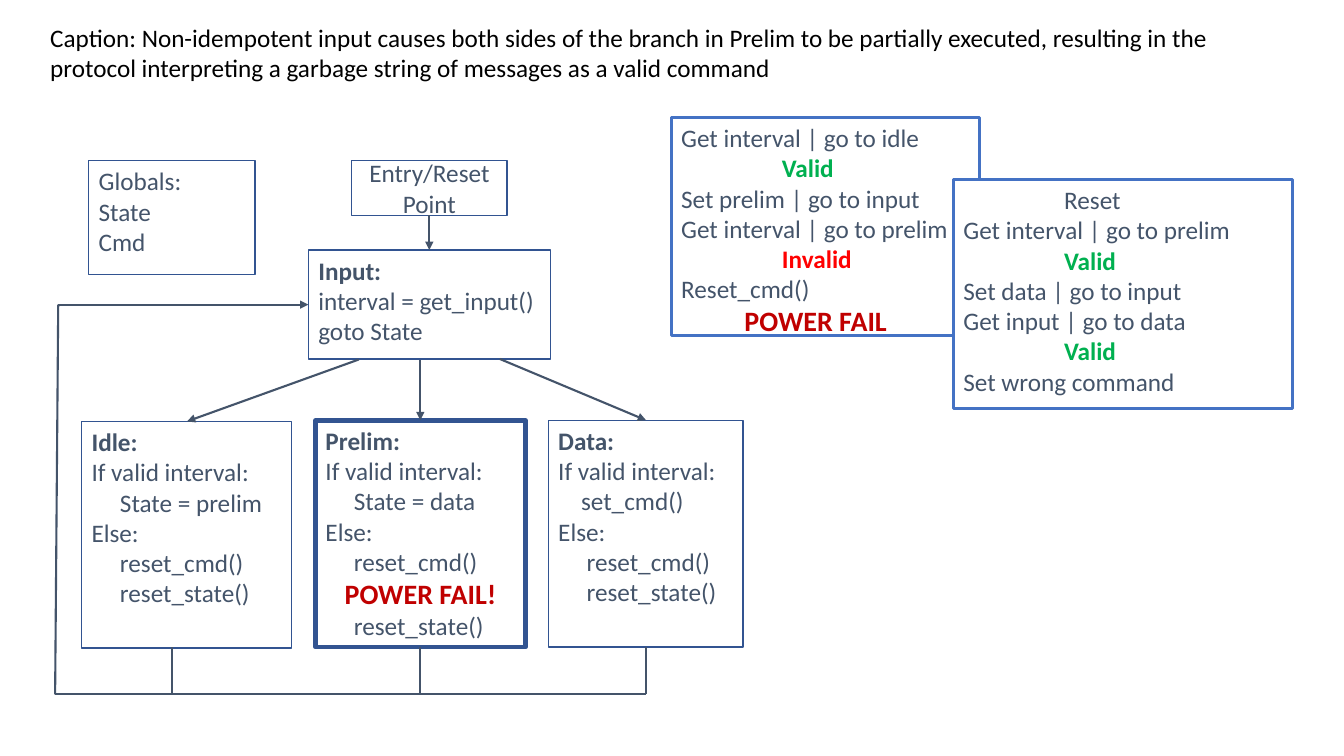
from pptx import Presentation
from pptx.dml.color import RGBColor as RGB
from pptx.enum.shapes import MSO_CONNECTOR as CONN, MSO_SHAPE as SHAPE
from pptx.enum.text import MSO_ANCHOR as ANCHOR, PP_ALIGN as ALIGN
from pptx.oxml.ns import qn
from pptx.util import Pt
from lxml.etree import SubElement

COLORS = {
    "text": "44546A", "black": "000000", "white": "FFFFFF",
    "node": "325491", "log": "4472C4",
    "valid": "00B050", "invalid": "FF0000", "fail": "C00000",
}
FONT = "Calibri"
INDENT = 20.3  # code nested under a condition
TAB = 72       # outcome of a logged step


def color(name):
    """Return the named colour."""
    return RGB.from_string(COLORS[name])


def line(text, ink="text", bold=False, size=18, indent=0, align=ALIGN.LEFT):
    """Describe one line of text."""
    return text, ink, bold, size, indent, align


def nested(text, indent=INDENT):
    """Describe an indented line of code."""
    return line(text, indent=indent)


def outcome(text, ink):
    """Describe a bold, coloured result in a log."""
    return line(text, ink, bold=True, indent=TAB)


def write(tf, lines):
    """Fill a text frame with lines, one paragraph each."""
    tf.word_wrap = True
    for i, (text, ink, bold, size, indent, align) in enumerate(lines):
        p = tf.paragraphs[0] if i == 0 else tf.add_paragraph()
        p.alignment = align
        if indent:
            p._p.get_or_add_pPr().set("marL", str(Pt(indent)))
        r = p.add_run()
        r.text = text
        r.font.name, r.font.size, r.font.bold = FONT, Pt(size), bold
        r.font.color.rgb = color(ink)


def add_box(s, at, lines, edge="node", width=1, fill=None, anchor=ANCHOR.TOP):
    """Draw an outlined rectangle holding lines of text."""
    sp = s.shapes.add_shape(SHAPE.RECTANGLE, *map(Pt, at))
    sp.shadow.inherit = False
    if fill:
        sp.fill.solid()
        sp.fill.fore_color.rgb = color(fill)
    else:
        sp.fill.background()
    sp.line.color.rgb = color(edge)
    sp.line.width = Pt(width)
    sp.text_frame.vertical_anchor = anchor
    write(sp.text_frame, lines)


def add_caption(s, at, text):
    """Write the caption in a text box."""
    tf = s.shapes.add_textbox(*map(Pt, at)).text_frame
    write(tf, [line(text, "black")])


def add_line(s, start, end, arrow=False):
    """Connect two points, optionally with an arrowhead at the end."""
    c = s.shapes.add_connector(CONN.STRAIGHT, *map(Pt, start + end))
    c.line.color.rgb = color("text")
    c.line.width = Pt(1.5)
    if arrow:
        SubElement(c.line._get_or_add_ln(), qn("a:tailEnd"), type="triangle")
    SubElement(c._element.spPr, qn("a:effectLst"))


def add_nodes(s):
    """Draw the entry point, the globals and the states."""
    add_box(s, (251.3, 114.5, 110.9, 39.4),
            [line("Entry/Reset Point", align=ALIGN.CENTER)],
            anchor=ANCHOR.MIDDLE)
    add_box(s, (63.4, 114.8, 118.8, 81.4),
            [line(t) for t in ("Globals:", "State", "Cmd")])
    add_box(s, (220.3, 178.6, 172.8, 77.8),
            [line("Input:", bold=True), line("interval = get_input()"),
             line("goto State")])

    fail = line("POWER FAIL!", "fail", True, 20, align=ALIGN.CENTER)
    reset_cmd, reset_state = nested("reset_cmd()"), nested("reset_state()")
    states = [
        ("Idle:", (58.3, 301, 149.8, 162), 1, nested("State = prelim"),
         [reset_cmd, reset_state]),
        ("Prelim:", (225.4, 300.2, 149.8, 162), 3.25, nested("State = data"),
         [reset_cmd, fail, reset_state]),
        ("Data:", (391.7, 300.2, 139, 162), 1, nested("set_cmd()", 16.3),
         [reset_cmd, reset_state]),
    ]
    for name, at, width, action, otherwise in states:
        add_box(s, at, [line(name, bold=True), line("If valid interval:"),
                        action, line("Else:")] + otherwise, width=width)


def add_flow(s):
    """Draw the arrows between nodes and the loop back to Input."""
    idle_x, prelim_x, data_x = 122.6, 300.2, 461.5
    state_bottom, loop_y, input_y = 462.4, 496, 217.6
    add_line(s, (306.7, 153.6), (306.7, 178.6), arrow=True)
    add_line(s, (256.3, 256.8), (133.6, 301), arrow=True)
    add_line(s, (prelim_x, 256.8), (prelim_x, 300.2), arrow=True)
    add_line(s, (357, 256.4), (data_x, 300.2), arrow=True)
    for x in (idle_x, prelim_x, data_x):
        add_line(s, (x, state_bottom), (x, loop_y))
    add_line(s, (data_x, loop_y), (39.2, loop_y))
    add_line(s, (41.6, input_y), (39.4, loop_y))
    add_line(s, (41.6, input_y), (220.3, input_y), arrow=True)


def add_logs(s):
    """Draw the execution logs before and after the power failure."""
    valid = outcome("Valid", "valid")
    before = [line("Get interval | go to idle"), valid,
              line("Set prelim | go to input"),
              line("Get interval | go to prelim"),
              outcome("Invalid", "invalid"), line("Reset_cmd()"),
              line("POWER FAIL", "fail", True, 20, indent=45.2)]
    after = [nested("Reset", TAB), line("Get interval | go to prelim"), valid,
             line("Set data | go to input"), line("Get input | go to data"),
             valid, line("Set wrong command")]
    for at, lines in (((479.5, 84, 220.3, 155.8), before),
                      ((681.1, 128.2, 241.9, 163.4), after)):
        add_box(s, at, lines, edge="log", width=2, fill="white")


def main():
    """Build the slide and save it."""
    prs = Presentation()
    prs.slide_width, prs.slide_height = Pt(960), Pt(540)
    s = prs.slides.add_slide(prs.slide_layouts[6])
    add_nodes(s)
    add_flow(s)
    add_logs(s)
    add_caption(s, (28.8, 12.2, 904.3, 51.1),
                "Caption: Non-idempotent input causes both sides of the branch "
                "in Prelim to be partially executed, resulting in the protocol "
                "interpreting a garbage string of messages as a valid command")
    prs.save("out.pptx")


main()
